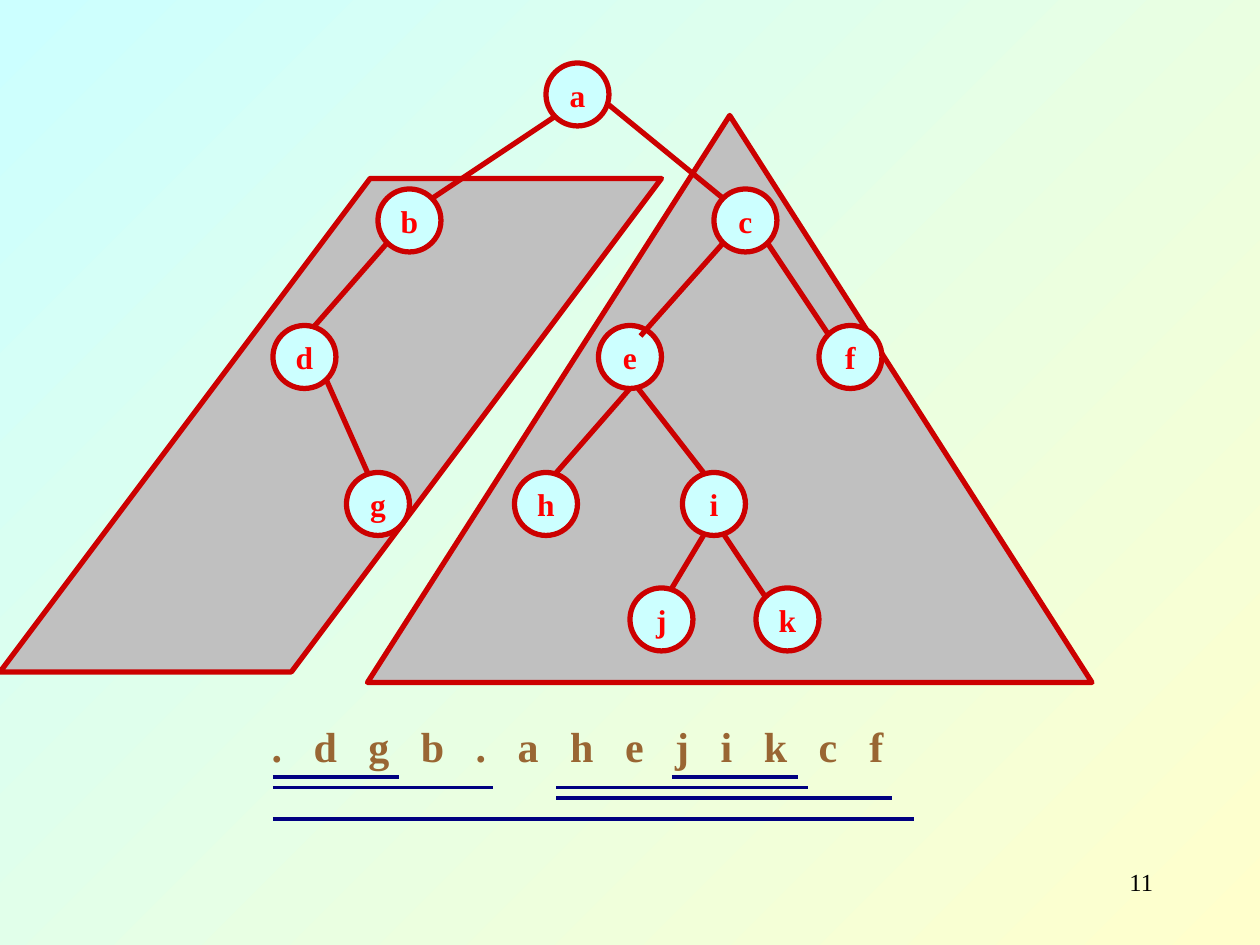
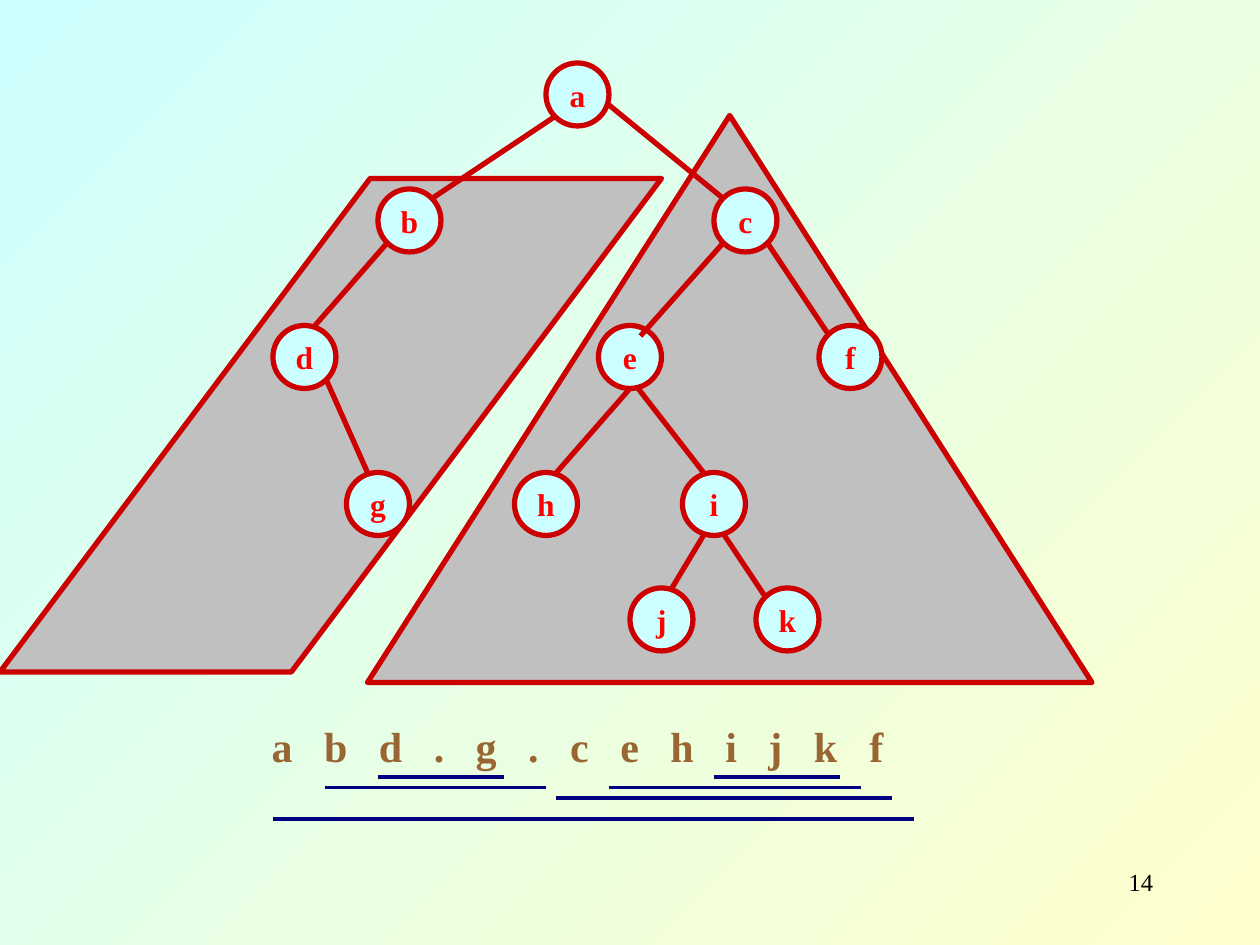
from dataclasses import dataclass

from lxml import etree
from pptx import Presentation
from pptx.dml.color import RGBColor
from pptx.enum.shapes import MSO_CONNECTOR, MSO_SHAPE
from pptx.enum.text import MSO_ANCHOR, PP_ALIGN
from pptx.oxml.ns import qn
from pptx.util import Inches, Pt

OVAL, PEAK, SLANT = MSO_SHAPE.OVAL, MSO_SHAPE.ISOSCELES_TRIANGLE, MSO_SHAPE.PARALLELOGRAM
STRAIGHT, MIDDLE = MSO_CONNECTOR.STRAIGHT, MSO_ANCHOR.MIDDLE
CENTER, RIGHT = PP_ALIGN.CENTER, PP_ALIGN.RIGHT

CELL = Inches(1) // 12
COLS, ROWS = 120, 90


@dataclass(frozen=True)
class Theme:
    """Colours, font and sizes shared by the slides."""
    warm: str = "FFFFCC"
    cool: str = "CCFFFF"
    edge: str = "CC0000"
    area: str = "C0C0C0"
    label: str = "FF0000"
    order: str = "996633"
    mark: str = "000080"
    ink: str = "000000"
    font: str = "Times New Roman"
    node_size: int = 18
    order_size: int = 24
    page_size: int = 14
    edge_width: int = 3
    mark_width: int = 2
    order_gap: int = 6


@dataclass(frozen=True)
class Box:
    """A region of the grid, in columns and rows."""
    col: int
    row: int
    wide: int
    high: int

    def sub(self, col, row, wide, high):
        """Return a region placed relative to this one."""
        return Box(self.col + col, self.row + row, wide, high)

    def point(self, col, row):
        """Return a slide position for a point of this region."""
        return (self.col + col) * CELL, (self.row + row) * CELL

    def frame(self):
        """Return left, top, width and height on the slide."""
        return *self.point(0, 0), self.wide * CELL, self.high * CELL


THEME = Theme()
TREE = Box(0, 6, 104, 59)
ORDER = Box(10, 68, 90, 10)
PAGE = Box(86, 82, 25, 6)
NODE = 6

LEVELS = {
    0: {"a": 52},
    12: {"b": 36, "c": 68},
    25: {"d": 26, "e": 57, "f": 78},
    39: {"g": 33, "h": 49, "i": 65},
    50: {"j": 60, "k": 72},
}
BACK_EDGE = (60, 30, 67, 39)
EDGES = [
    (53, 5, 41, 13), (58, 4, 69, 13), (37, 17, 30, 25),
    (69, 17, 61, 26), (73, 17, 79, 26), (31, 30, 35, 39),
    (60, 31, 53, 39), (67, 45, 64, 50), (69, 45, 73, 51),
]
SHARED_MARKS = [(43, 75, 8), (16, 77, 10)]
SLIDES = [
    (". d g b . a h e j i k c f", "11",
     [(16, 28, 6), (16, 37, 7), (54, 66, 6), (43, 67, 7)]),
    ("a b d . g . c e h i j k f", "14",
     [(26, 38, 6), (21, 42, 7), (58, 70, 6), (48, 72, 7)]),
]


def rgb(code):
    """Turn a hex code into a colour."""
    return RGBColor.from_string(code)


def add_run(para, text, size, color, bold=True, gap=0):
    """Add a styled run, with optional letter spacing in points."""
    run = para.add_run()
    run.text = text
    font = run.font
    font.name, font.size, font.bold = THEME.font, Pt(size), bold
    font.color.rgb = rgb(color)
    if gap:
        font._element.set("spc", str(gap * 100))


def add_form(slide, kind, box, fill):
    """Add a filled and outlined preset shape."""
    form = slide.shapes.add_shape(kind, *box.frame())
    form.shadow.inherit = False
    form.fill.solid()
    form.fill.fore_color.rgb = rgb(fill)
    form.line.color.rgb = rgb(THEME.edge)
    form.line.width = Pt(THEME.edge_width)
    return form


def add_line(slide, box, ends, color, width):
    """Draw a straight line between two points of a region."""
    line = slide.shapes.add_connector(
        STRAIGHT, *box.point(*ends[:2]), *box.point(*ends[2:]))
    line.line.color.rgb = rgb(color)
    line.line.width = Pt(width)
    etree.SubElement(line._element.spPr, qn("a:effectLst"))


def add_text(slide, box, align):
    """Add a wrapping text box and return its paragraph."""
    frame = slide.shapes.add_textbox(*box.frame()).text_frame
    frame.word_wrap = True
    para = frame.paragraphs[0]
    para.alignment = align
    return para


def add_node(slide, box, name):
    """Draw one labelled tree node."""
    frame = add_form(slide, OVAL, box, THEME.cool).text_frame
    frame.word_wrap = False
    frame.vertical_anchor = MIDDLE
    para = frame.paragraphs[0]
    para.alignment = CENTER
    add_run(para, name, THEME.node_size, THEME.label)


def draw_tree(slide, box):
    """Draw the two subtree areas, the nodes and the edges."""
    add_form(slide, PEAK, box.sub(35, 5, 69, 54), THEME.area)
    add_line(slide, box, BACK_EDGE, THEME.edge, THEME.edge_width)
    left = add_form(slide, SLANT, box.sub(0, 11, 63, 47), THEME.area)
    left.adjustments[0] = 0.75
    for row, nodes in LEVELS.items():
        for name, col in nodes.items():
            add_node(slide, box.sub(col, row, NODE, NODE), name)
    for ends in EDGES:
        add_line(slide, box, ends, THEME.edge, THEME.edge_width)


def draw_order(slide, box, text, marks):
    """Write the visiting order and underline its subtrees."""
    para = add_text(slide, box.sub(0, 0, box.wide, 6), CENTER)
    para.space_before = Pt(15)
    add_run(para, text[:-1], THEME.order_size, THEME.order, gap=THEME.order_gap)
    add_run(para, text[-1], THEME.order_size, THEME.order)
    for start, end, row in marks + SHARED_MARKS:
        add_line(slide, box, (start, row, end, row), THEME.mark, THEME.mark_width)


def draw_page(slide, box, number):
    """Write the page number."""
    add_run(add_text(slide, box, RIGHT), number, THEME.page_size, THEME.ink, bold=False)


def paint_back(slide):
    """Fill the background from the lower right to the upper left."""
    fill = slide.background.fill
    fill.gradient()
    fill.gradient_angle = 135
    for stop, color in zip(fill.gradient_stops, (THEME.warm, THEME.cool)):
        stop.color.rgb = rgb(color)


def main():
    """Build and save the slides."""
    deck = Presentation()
    deck.slide_width, deck.slide_height = COLS * CELL, ROWS * CELL
    for text, number, marks in SLIDES:
        slide = deck.slides.add_slide(deck.slide_layouts[6])
        paint_back(slide)
        draw_tree(slide, TREE)
        draw_order(slide, ORDER, text, marks)
        draw_page(slide, PAGE, number)
    deck.save("out.pptx")


if __name__ == "__main__":
    main()
